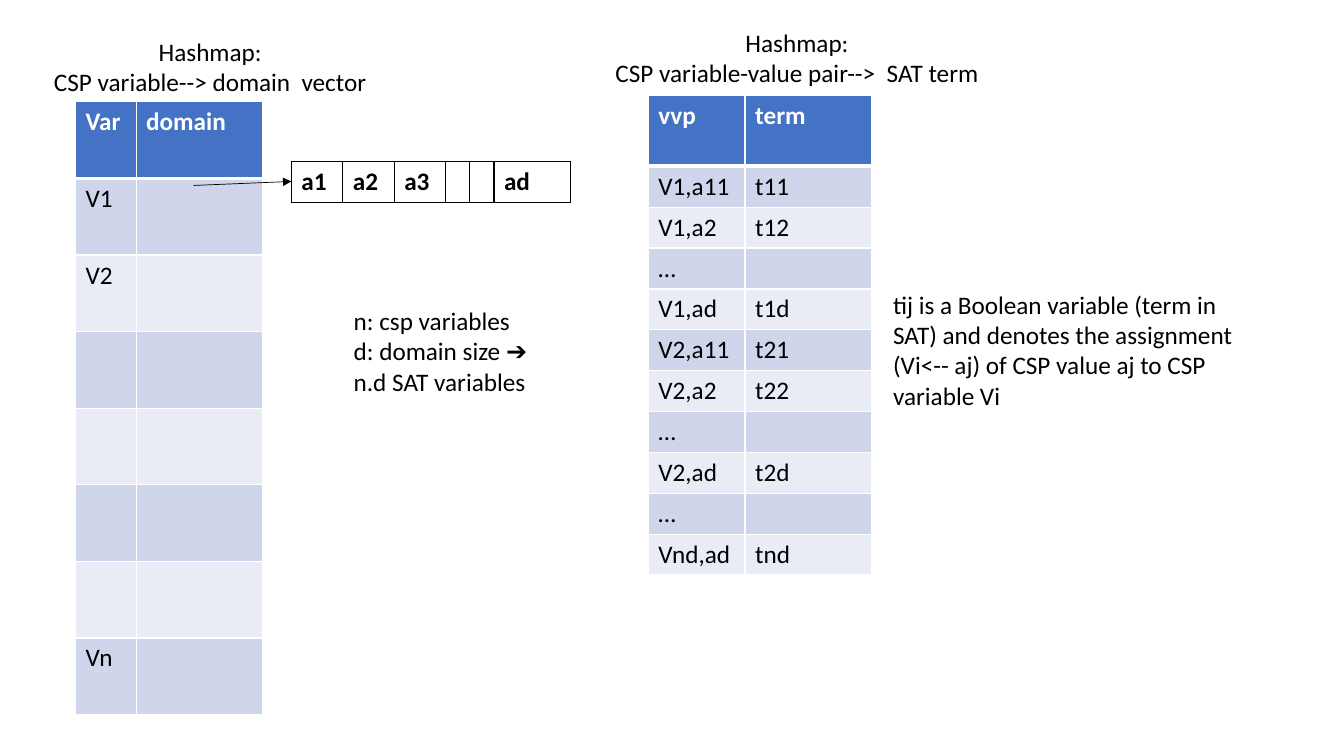
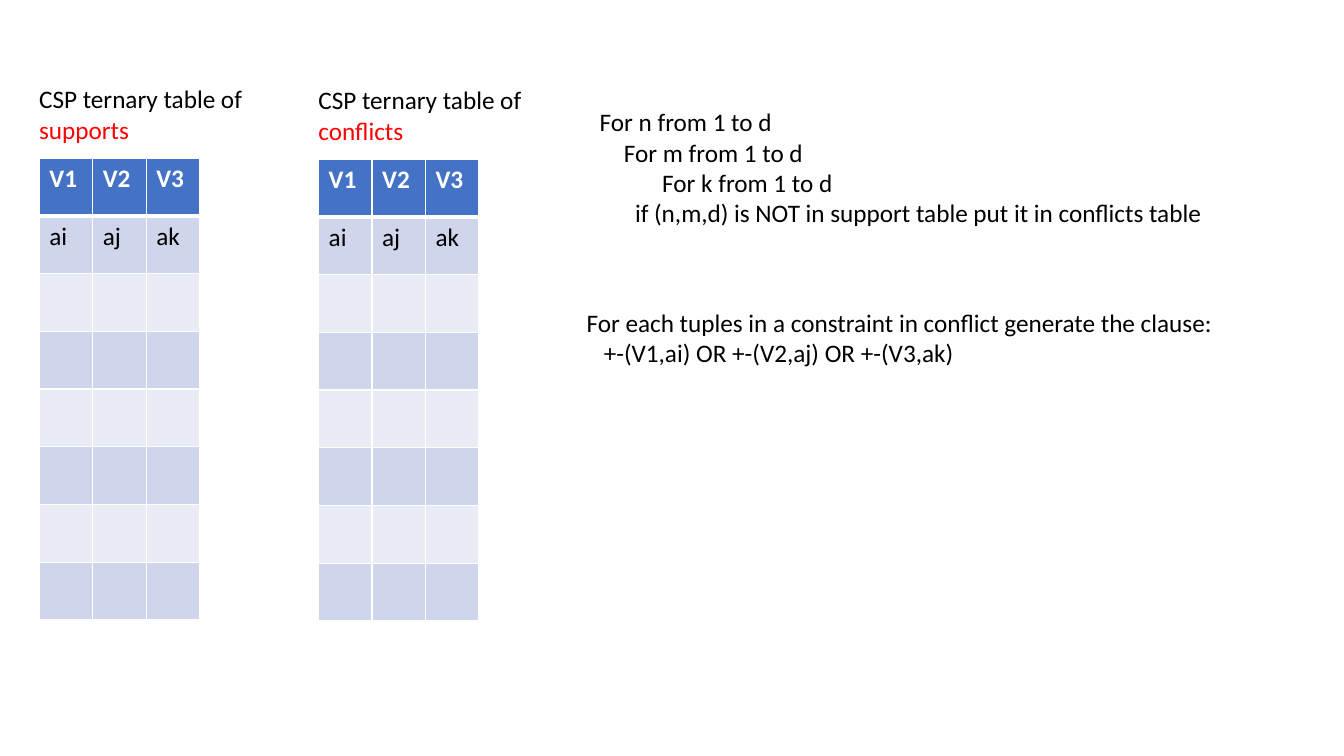
import pptx
import pptx.dml.color
import pptx.enum.shapes
import pptx.enum.text
import pptx.oxml
import pptx.oxml.ns
import pptx.util
from dataclasses import dataclass

Inches = pptx.util.Inches
CENTER = pptx.enum.text.PP_ALIGN.CENTER


@dataclass(frozen=True)
class Theme:
    font: str = "Calibri"
    size: int = 18
    black: str = "000000"
    white: str = "FFFFFF"
    red: str = "FF0000"
    header: str = "4472C4"
    bands: tuple = ("CFD5EA", "E9EBF5")
    grid: float = 1
    header_rule: float = 3
    arrow: float = 0.5


THEME = Theme()

DOMAIN_ROWS = [("Var", "domain"), ("V1", ""), ("V2", ""), *[("", "")] * 4, ("Vn", "")]
DOMAIN_VECTOR = [("a1", "a2", "a3", "", "", "ad")]
TERM_ROWS = [
    ("vvp", "term"),
    ("V1,a11", "t11"), ("V1,a2", "t12"), ("…", ""), ("V1,ad", "t1d"),
    ("V2,a11", "t21"), ("V2,a2", "t22"), ("…", ""), ("V2,ad", "t2d"),
    ("…", ""), ("Vnd,ad", "tnd"),
]
TERNARY_ROWS = [("V1", "V2", "V3"), ("ai", "aj", "ak"), *[("", "", "")] * 6]
TERNARY_TABLES = [(0.29, 0.78, "supports"), (3.06, 0.79, "conflicts")]

# Each text: left, top, width, height, alignment, paragraphs
HASHMAP_TEXTS = [
    (0.36, 0.31, 3.45, 0.71, CENTER, ["Hashmap:", "CSP variable--> domain  vector"]),
    (5.84, 0.22, 4.13, 0.71, CENTER, ["Hashmap:", "CSP variable-value pair-->  SAT term"]),
    (3.41, 2.98, 2.1, 1.01, None, ["n: csp variables", "d: domain size ➔ n.d SAT variables"]),
    (8.76, 2.82, 3.8, 1.31, None, [
        "tij is a Boolean variable (term in SAT) and denotes the assignment "
        "(Vi<-- aj) of CSP value aj to CSP variable Vi"]),
]
# Indented lines: indent in inches, text
CONFLICT_LOOP = [
    (0, "For n from 1 to d"),
    (0.24, "For m from 1 to d"),
    (0.62, "For k from 1 to d"),
    (0.35, "if (n,m,d) is NOT in support table put it in conflicts table"),
]
CLAUSE_RULE = [
    (0, "For each tuples in a constraint in conflict generate the clause:"),
    (0.17, "+-(V1,ai) OR +-(V2,aj) OR +-(V3,ak)"),
]


def rgb(color):
    return pptx.dml.color.RGBColor.from_string(color)


def add_run(paragraph, text, color=THEME.black, bold=False):
    run = paragraph.add_run()
    run.text = text
    run.font.name = THEME.font
    run.font.size = pptx.util.Pt(THEME.size)
    run.font.bold = bold
    run.font.color.rgb = rgb(color)


def add_text(slide, left, top, width, height, align, paragraphs):
    """Each paragraph is a string, an (indent, string) pair or a list of (string, colour) runs."""
    box = slide.shapes.add_textbox(*map(Inches, (left, top, width, height)))
    frame = box.text_frame
    frame.word_wrap = True
    frame.auto_size = pptx.enum.text.MSO_AUTO_SIZE.SHAPE_TO_FIT_TEXT
    for index, content in enumerate(paragraphs):
        paragraph = frame.paragraphs[0] if index == 0 else frame.add_paragraph()
        paragraph.alignment = align
        if isinstance(content, tuple):
            indent, content = content
            paragraph._p.get_or_add_pPr().set("marL", str(Inches(indent)))
        runs = [(content, THEME.black)] if isinstance(content, str) else content
        for text, color in runs:
            add_run(paragraph, text, color)


def set_borders(cell, color, top, bottom):
    properties = cell._tc.get_or_add_tcPr()
    widths = {"lnL": THEME.grid, "lnR": THEME.grid, "lnT": top, "lnB": bottom}
    for position, (side, width) in enumerate(widths.items()):
        properties.insert(position, pptx.oxml.parse_xml(
            f'<a:{side} {pptx.oxml.ns.nsdecls("a")} w="{pptx.util.Pt(width)}">'
            f'<a:solidFill><a:srgbClr val="{color}"/></a:solidFill></a:{side}>'))


def add_table(slide, left, top, columns, heights, rows, banded=True):
    """A banded table has a header row; otherwise the cells are bold in a black grid."""
    table = slide.shapes.add_table(
        len(rows), len(columns), Inches(left), Inches(top),
        Inches(sum(columns)), Inches(sum(heights))).table
    table.first_row = table.horz_banding = False
    for column, width in zip(table.columns, columns):
        column.width = Inches(width)
    for number, (row, height, texts) in enumerate(zip(table.rows, heights, rows)):
        row.height = Inches(height)
        is_header = banded and number == 0
        for cell, text in zip(row.cells, texts):
            if banded:
                cell.fill.solid()
                cell.fill.fore_color.rgb = rgb(
                    THEME.header if is_header else THEME.bands[(number - 1) % 2])
            else:
                cell.fill.background()
            set_borders(
                cell, THEME.white if banded else THEME.black,
                THEME.header_rule if banded and number == 1 else THEME.grid,
                THEME.header_rule if is_header else THEME.grid)
            if text:
                add_run(cell.text_frame.paragraphs[0], text,
                        THEME.white if is_header else THEME.black, is_header or not banded)


def add_arrow(slide, start, end):
    arrow = slide.shapes.add_connector(
        pptx.enum.shapes.MSO_CONNECTOR.STRAIGHT, *map(Inches, (*start, *end)))
    arrow.line.color.rgb = rgb(THEME.black)
    arrow.line.width = pptx.util.Pt(THEME.arrow)
    namespace = pptx.oxml.ns.nsdecls("a")
    arrow.line._get_or_add_ln().append(
        pptx.oxml.parse_xml(f'<a:tailEnd {namespace} type="triangle"/>'))
    arrow._element.spPr.append(pptx.oxml.parse_xml(f"<a:effectLst {namespace}/>"))


def build_hashmaps(slide):
    add_table(slide, 0.75, 1.01, [0.6, 1.25], [0.76] * len(DOMAIN_ROWS), DOMAIN_ROWS)
    add_table(slide, 2.89, 1.6, [0.51] * 3 + [0.24] * 2 + [0.76], [0.41],
              DOMAIN_VECTOR, banded=False)
    add_arrow(slide, (1.92, 1.84), (2.89, 1.8))
    add_table(slide, 6.43, 0.95, [0.96, 1.25],
              [0.7] + [0.4] * (len(TERM_ROWS) - 1), TERM_ROWS)
    for text in HASHMAP_TEXTS:
        add_text(slide, *text)


def build_conflicts(slide):
    row_height = 4.58 / len(TERNARY_ROWS)
    for left, top, kind in TERNARY_TABLES:
        add_table(slide, left + 0.1, top + 0.79, [0.53] * 3,
                  [row_height] * len(TERNARY_ROWS), TERNARY_ROWS)
        add_text(slide, left, top, 2.36, 0.71, None,
                 [[("CSP ternary table of ", THEME.black), (kind, THEME.red)]])
    add_text(slide, 5.85, 1.01, 6.43, 1.31, None, CONFLICT_LOOP)
    add_text(slide, 5.72, 3, 6.43, 0.71, None, CLAUSE_RULE)


def main():
    presentation = pptx.Presentation()
    presentation.slide_width = Inches(13.33)
    presentation.slide_height = Inches(7.5)
    for build in (build_hashmaps, build_conflicts):
        build(presentation.slides.add_slide(presentation.slide_layouts[6]))
    presentation.save("out.pptx")


if __name__ == "__main__":
    main()
